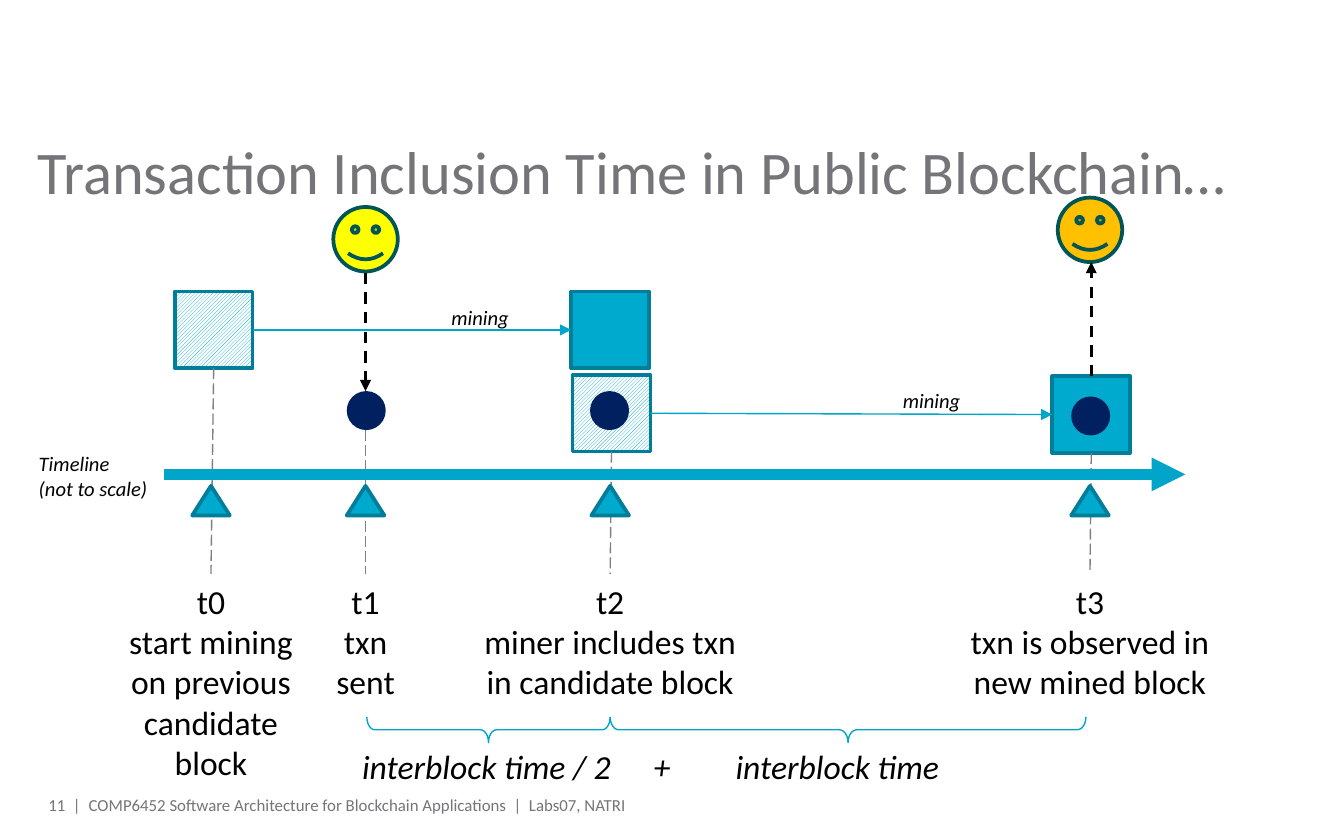
from lxml.etree import SubElement
from pptx import Presentation
from pptx.dml.color import RGBColor
from pptx.enum.dml import MSO_LINE as DASH, MSO_PATTERN as PATTERN
from pptx.enum.shapes import MSO_CONNECTOR as CONN, MSO_SHAPE as SHAPE
from pptx.enum.text import MSO_ANCHOR as ANCHOR, PP_ALIGN as ALIGN
from pptx.oxml.ns import qn
from pptx.util import Inches, Pt

CYAN, LINE_CYAN, TEAL, DARK_TEAL = "00A9CE", "00A5C9", "007D98", "005558"
NAVY, GREY, DASH_GREY, BLACK, WHITE = "002060", "757579", "808080", "000000", "FFFFFF"
YELLOW, ORANGE = "FFFF00", "FFC000"
TOP, LEFT, BOTTOM, RIGHT = range(4)


def rgb(value):
    return RGBColor.from_string(value)


def write(tf, text, size=18, color=BLACK, italic=False, align=ALIGN.LEFT, font="Calibri"):
    for i, line in enumerate(text.split("\n")):
        p = tf.add_paragraph() if i else tf.paragraphs[0]
        p.alignment = align
        r = p.add_run()
        r.text = line
        r.font.name = font
        r.font.size = Pt(size)
        r.font.italic = italic
        r.font.color.rgb = rgb(color)


class Diagram:
    def __init__(self, slide):
        self.shapes = slide.shapes

    def text(self, x, y, w, h, text, wrap=True, inset=True, anchor=ANCHOR.TOP, **style):
        tf = self.shapes.add_textbox(Inches(x), Inches(y), Inches(w), Inches(h)).text_frame
        tf.word_wrap = wrap
        tf.vertical_anchor = anchor
        if not inset:
            tf.margin_left = tf.margin_right = tf.margin_top = tf.margin_bottom = 0
        write(tf, text, **style)

    def shape(self, kind, x, y, w, h, fill=None, line=None, width=2):
        sp = self.shapes.add_shape(kind, Inches(x), Inches(y), Inches(w), Inches(h))
        sp.shadow.inherit = False
        if fill:
            sp.fill.solid()
            sp.fill.fore_color.rgb = rgb(fill)
        else:
            sp.fill.background()
        if line:
            sp.line.color.rgb = rgb(line)
            sp.line.width = Pt(width)
        else:
            sp.line.fill.background()
        return sp

    def block(self, x, y, candidate=False):
        sp = self.shape(SHAPE.RECTANGLE, x, y, 0.58, 0.57, CYAN, TEAL)
        if candidate:
            sp.fill.patterned()
            sp.fill.pattern = PATTERN.LIGHT_UPWARD_DIAGONAL
            sp.fill.fore_color.rgb = rgb(CYAN)
            sp.fill.back_color.rgb = rgb(WHITE)
        return sp

    def transaction(self, x, y):
        self.shape(SHAPE.OVAL, x, y, 0.29, 0.29, NAVY)

    def user(self, x, y, fill):
        self.shape(SHAPE.SMILEY_FACE, x, y, 0.48, 0.48, fill, DARK_TEAL)

    def marker(self, center):
        self.shape(SHAPE.ISOSCELES_TRIANGLE, center - 0.14, 3.615, 0.28, 0.22, CYAN, TEAL)

    def brace(self, start, end, bend):
        length, depth = end - start, 0.19
        x, y = (start + end - depth) / 2, 5.43 - length / 2
        sp = self.shape(SHAPE.LEFT_BRACE, x, y, depth, length, line=LINE_CYAN, width=0.75)
        sp.rotation = 270
        sp.adjustments[0] = bend

    def line(self, x1, y1, x2, y2, color, width, dash=None, arrow=True, begin=None, end=None):
        cn = self.shapes.add_connector(CONN.STRAIGHT, Inches(x1), Inches(y1), Inches(x2), Inches(y2))
        cn.line.color.rgb = rgb(color)
        cn.line.width = Pt(width)
        if dash:
            cn.line.dash_style = dash
        if arrow:
            SubElement(cn.line._get_or_add_ln(), qn("a:tailEnd"), type="triangle")
        SubElement(cn._element.spPr, qn("a:effectLst"))
        if begin:
            cn.begin_connect(*begin)
        if end:
            cn.end_connect(*end)


def main():
    prs = Presentation()
    prs.slide_width, prs.slide_height = Inches(10), Inches(6.25)
    d = Diagram(prs.slides.add_slide(prs.slide_layouts[6]))

    d.text(0.28, 1, 9.45, 0.78, "Transaction Inclusion Time in Public Blockchain…",
           inset=False, size=32.4, color=GREY)

    first = d.block(1.3, 2.17, candidate=True)
    mined = d.block(4.25, 2.17)
    second = d.block(4.26, 2.79, candidate=True)
    final = d.block(7.83, 2.8)
    for x, y in [(2.58, 2.91), (4.39, 2.91), (7.97, 2.95)]:
        d.transaction(x, y)

    moments = [
        (1.57, 2.74, first, 1.46, "t0\nstart mining on previous candidate block"),
        (2.72, 3.2, None, 0.88, "t1\ntxn sent"),
        (4.54, 3.36, second, 2.1, "t2\nminer includes txn in candidate block"),
        (8.11, 3.37, final, 2.44, "t3\ntxn is observed in new mined block"),
    ]
    for x, y, block, width, label in moments:
        d.line(x, y, x, 4.27, DASH_GREY, 0.75, DASH.LONG_DASH, arrow=False,
               begin=(block, BOTTOM) if block else None)
        d.text(x - width / 2, 4.27, width, 0.81, label, align=ALIGN.CENTER)
    d.line(1.22, 3.53, 8.82, 3.53, LINE_CYAN, 6)
    for x, *_ in moments:
        d.marker(x)

    d.user(2.48, 1.54, YELLOW)
    d.user(7.87, 1.47, ORANGE)
    d.line(2.72, 2.03, 2.72, 2.91, BLACK, 1.5, DASH.DASH)
    d.line(8.12, 2.8, 8.12, 1.95, BLACK, 1.5, DASH.DASH, begin=(final, TOP))

    for y, source, target in [(2.46, first, mined), (3.08, second, final)]:
        d.line(1.88, y, 4.25, y, LINE_CYAN, 0.75, begin=(source, RIGHT), end=(target, LEFT))
    for x, y in [(3.26, 2.22), (6.62, 2.84)]:
        d.text(x, y, 0.63, 0.29, "mining", wrap=False, size=11, italic=True)
    d.text(0.19, 3.31, 1.1, 0.47, "Timeline\n(not to scale)", size=11, italic=True)

    d.brace(2.73, 4.54, 0.31)
    d.brace(4.54, 8.08, 0.34)
    for x, width, label in [(2.42, 2.4, "interblock time / 2"), (4.73, 0.39, "+"),
                            (5.34, 1.78, "interblock time")]:
        d.text(x, 5.5, width, 0.34, label, italic=True, align=ALIGN.CENTER)

    footer = dict(inset=False, anchor=ANCHOR.MIDDLE, size=9, color=GREY)
    d.text(0.66, 5.93, 6.65, 0.11,
           "COMP6452 Software Architecture for Blockchain Applications  |  Labs07, NATRI", **footer)
    d.text(0.28, 5.93, 0.32, 0.12, "11  |", align=ALIGN.RIGHT, **footer)
    prs.save("out.pptx")


if __name__ == "__main__":
    main()
